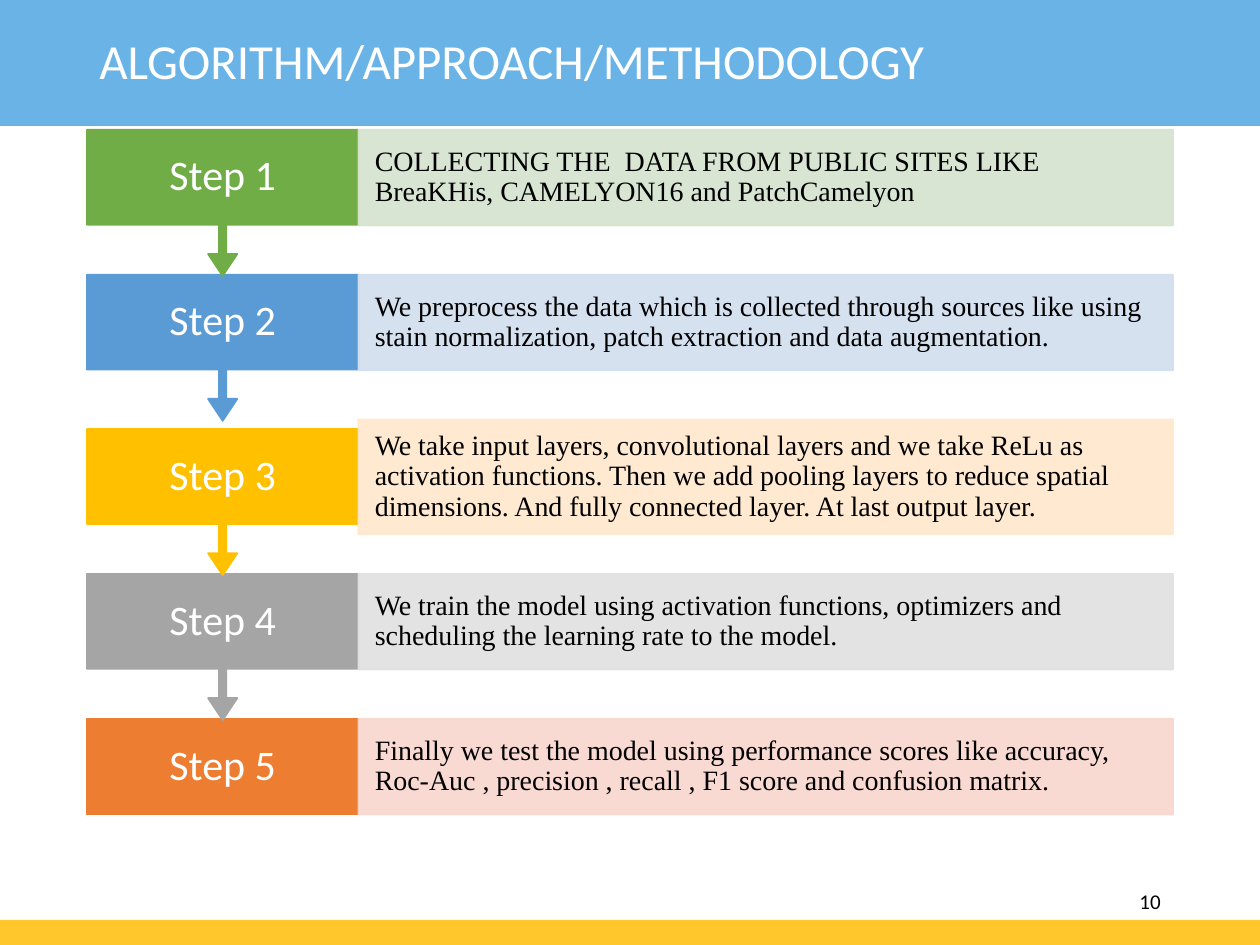
from collections import namedtuple
from dataclasses import dataclass

from lxml import etree
from pptx import Presentation
from pptx import util as u
from pptx.dml.color import RGBColor
from pptx.enum import shapes, text
from pptx.oxml import ns

COLS, ROWS = 10, 7.5
Box = namedtuple("Box", "x y w h")
Step = namedtuple("Step", "words deep pale high")


@dataclass(frozen=True)
class Theme:
    """Colours, fonts and type sizes of the slide."""
    sky: str = "69B3E7"
    gold: str = "FFC72C"
    white: str = "FFFFFF"
    black: str = "000000"
    sans: str = "Calibri"
    serif: str = "Times New Roman"
    title: int = 28
    label: int = 24
    body: int = 16
    page: int = 12


T = Theme()
LOW, TALL, PITCH = 0.76, 0.91, 1.15
STEPS = [
    Step("COLLECTING THE  DATA FROM PUBLIC SITES LIKE BreaKHis, "
         "CAMELYON16 and PatchCamelyon", "70AD47", "D5E3CF", LOW),
    Step("We preprocess the data which is collected through sources like using "
         "stain normalization, patch extraction and data augmentation.",
         "5B9BD5", "D2DEEF", LOW),
    Step("We take input layers, convolutional layers and we take ReLu as "
         "activation functions. Then we add pooling layers to reduce spatial "
         "dimensions. And fully connected layer. At last output layer.",
         "FFC000", "FFE8CC", TALL),
    Step("We train the model using activation functions, optimizers and "
         "scheduling the learning rate to the model.", "A5A5A5", "E1E1E1", LOW),
    Step("Finally we test the model using performance scores like accuracy, "
         "Roc-Auc , precision , recall , F1 score and confusion matrix.",
         "ED7D31", "F8D7CE", LOW),
]


def place(box):
    """Turn a box in grid units into lengths."""
    return [u.Inches(n) for n in box]


def fade(shape, share):
    """Make the fill and line of a shape partly transparent."""
    for node in shape._element.spPr.iter(ns.qn("a:srgbClr")):
        etree.SubElement(node, ns.qn("a:alpha"), val=str(int(share * 100000)))


def block(slide, kind, box, hue, edge=0):
    """Add a flat shape of one colour."""
    shape = slide.shapes.add_shape(kind, *place(box))
    shape.shadow.inherit = False
    shape.fill.solid()
    shape.fill.fore_color.rgb = RGBColor.from_string(hue)
    if edge:
        shape.line.color.rgb = RGBColor.from_string(hue)
        shape.line.width = u.Pt(edge)
    else:
        shape.line.fill.background()
    return shape


def write(shape, words, font, size, hue, align, pad=(0.1, 0.05), lead=0.9):
    """Set one middle-anchored paragraph in a shape."""
    frame = shape.text_frame
    frame.word_wrap = True
    frame.vertical_anchor = text.MSO_ANCHOR.MIDDLE
    frame.margin_left = frame.margin_right = u.Inches(pad[0])
    frame.margin_top = frame.margin_bottom = u.Inches(pad[1])
    para = frame.paragraphs[0]
    para.alignment = align
    para.line_spacing = lead
    run = para.add_run()
    run.text = words
    run.font.name = font
    run.font.size = u.Pt(size)
    run.font.color.rgb = RGBColor.from_string(hue)


def head(slide, box):
    """Draw the title band."""
    block(slide, shapes.MSO_SHAPE.RECTANGLE, box, T.sky)
    name = Box(box.x + 0.69, box.y + 0.03, 7.15, box.h * 0.95)
    write(slide.shapes.add_textbox(*place(name)),
          "ALGORITHM/APPROACH/METHODOLOGY", T.sans, T.title, T.white,
          text.PP_ALIGN.LEFT)


def foot(slide, box):
    """Draw the bottom band with the page number above it."""
    block(slide, shapes.MSO_SHAPE.RECTANGLE, box, T.gold)
    page = Box(box.w - 2.94, box.y - 0.35, 2.25, 0.4)
    write(slide.shapes.add_textbox(*place(page)), "10", T.sans, T.page,
          T.black, text.PP_ALIGN.RIGHT, lead=1)


def row(slide, box, num, step, last):
    """Draw one step: its label, with an arrow unless last, and its panel."""
    side = box.w / 4
    top = box.y + (box.h - LOW) / 2
    if last:
        label = block(slide, shapes.MSO_SHAPE.RECTANGLE,
                      Box(box.x, top, side, LOW), step.deep, 1)
    else:
        label = block(slide, shapes.MSO_SHAPE.DOWN_ARROW_CALLOUT,
                      Box(box.x, top, side, 1.16), step.deep, 1)
        for spot, share in enumerate((0.05, 0.1, 0.15, 0.65)):
            label.adjustments[spot] = share
    write(label, f"Step {num}", T.sans, T.label, T.white,
          text.PP_ALIGN.CENTER, (0.15, 0.19))
    panel = block(slide, shapes.MSO_SHAPE.RECTANGLE,
                  Box(box.x + side, box.y, box.w - side, box.h), step.pale, 1)
    fade(panel, 0.9)
    write(panel, step.words, T.serif, T.body, T.black,
          text.PP_ALIGN.LEFT, (0.13, 0.1))


def flow(slide, box):
    """Stack the steps, the last at the back so arrows overlap downwards."""
    spots, top = [], box.y
    for num, step in enumerate(STEPS, 1):
        spots.append((Box(box.x, top, box.w, step.high), num, step))
        top += PITCH + (step.high - LOW) / 2
    for spot, num, step in reversed(spots):
        row(slide, spot, num, step, num == len(STEPS))


def main():
    """Build and save the slide."""
    deck = Presentation()
    deck.slide_width, deck.slide_height = u.Inches(COLS), u.Inches(ROWS)
    slide = deck.slides.add_slide(deck.slide_layouts[6])
    head(slide, Box(0, 0, COLS, 1))
    foot(slide, Box(0, ROWS - 0.2, COLS, 0.2))
    flow(slide, Box(0.69, 1.03, 8.62, 5.44))
    deck.save("out.pptx")


if __name__ == "__main__":
    main()
